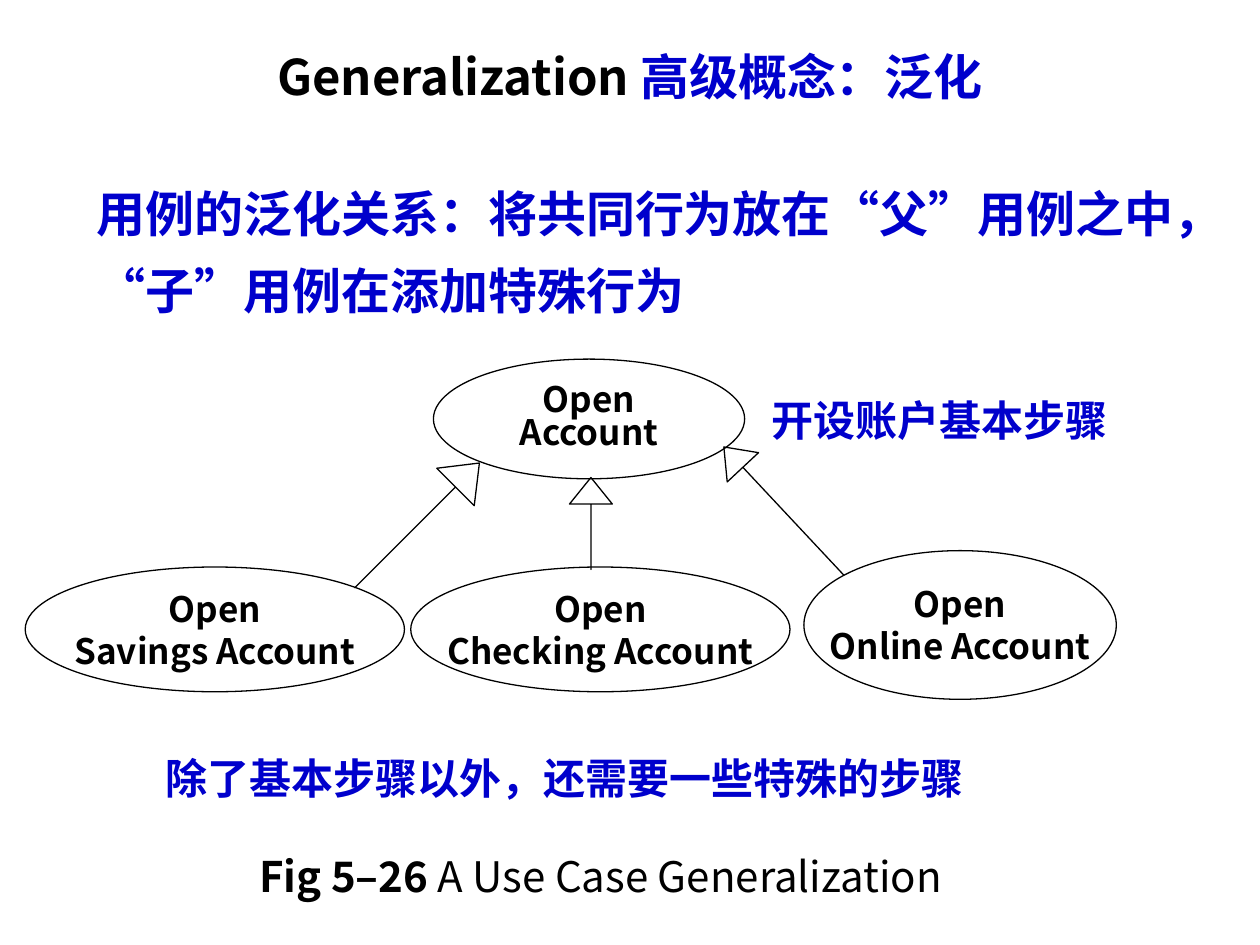
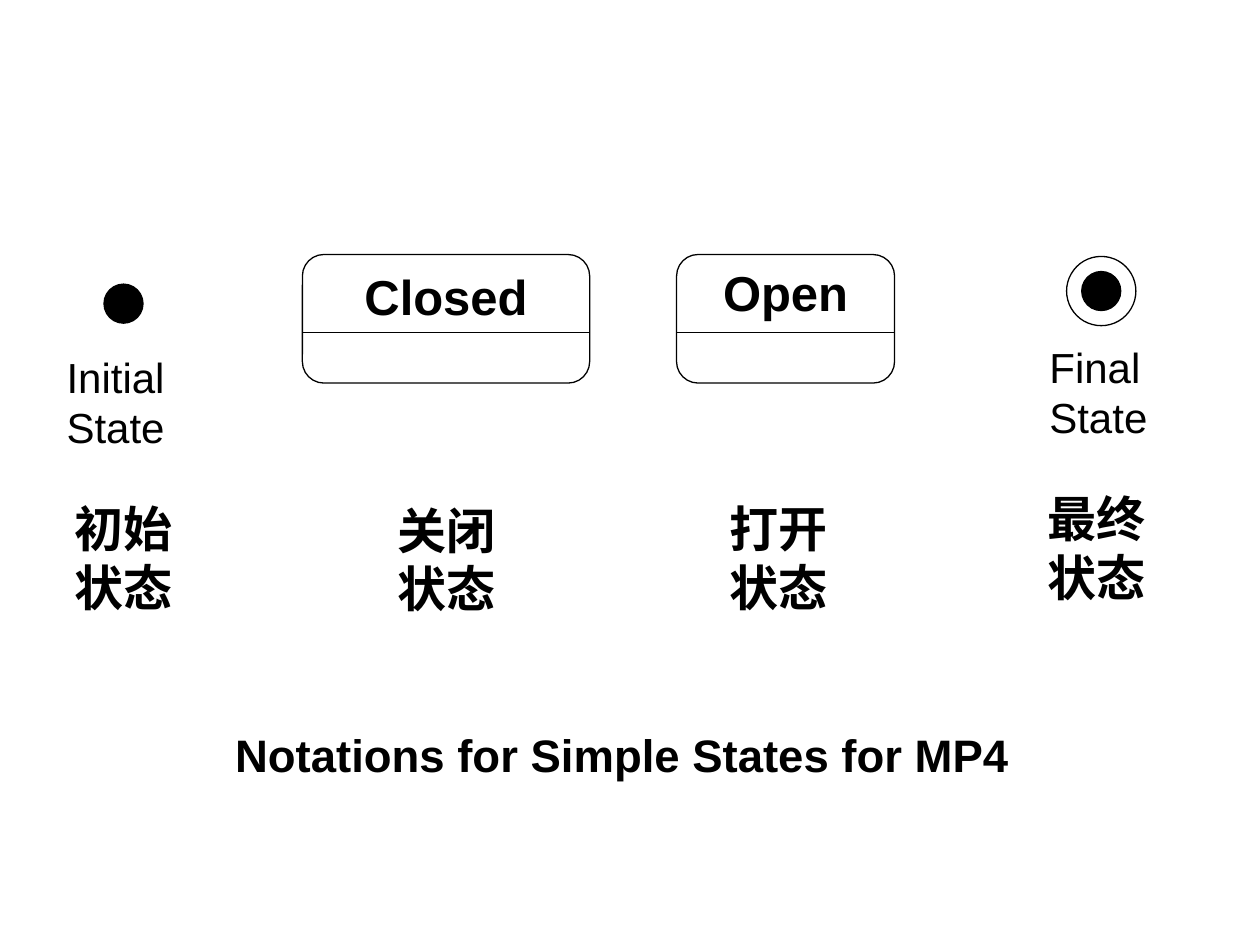
from pptx import Presentation
from pptx.dml.color import RGBColor
from pptx.enum import shapes, text
from pptx.oxml.ns import qn
from pptx.util import Inches, Pt
from lxml import etree

COLORS = {"ink": "000000", "blue": "0000CC", "paper": "FFFFFF"}
CJK = "Noto Sans CJK SC"
LATIN = "Arial"
SHAPE = shapes.MSO_SHAPE
ANCHOR = text.MSO_ANCHOR
CENTER = text.PP_ALIGN.CENTER
LEFT = text.PP_ALIGN.LEFT
BOX_INSETS = (0.1, 0.05, 0.1, 0.05)
NOTE_INSETS = (0, 0.05, 0, 0.05)


def color(name):
    """Return the named colour."""
    return RGBColor.from_string(COLORS[name])


def set_all(target, values):
    """Set each attribute of the target from a dict."""
    for name, value in values.items():
        setattr(target, name, value)


def add_run(paragraph, words, font, size, ink, bold):
    """Add a run with the same Latin and East Asian typeface."""
    run = paragraph.add_run()
    run.text = words
    set_all(run.font, {"name": font, "size": Pt(size), "bold": bold})
    run.font.color.rgb = color(ink)
    east_asian = etree.SubElement(run._r.get_or_add_rPr(), qn("a:ea"))
    east_asian.set("typeface", font)


def write(shape, lines, font=CJK, size=24, ink="ink", bold=True, align=CENTER,
          spacing=1.0, insets=BOX_INSETS, anchor=ANCHOR.TOP, wrap=True,
          fit=text.MSO_AUTO_SIZE.NONE):
    """Write lines, each a list of (words, overrides) runs or a plain string."""
    frame = shape.text_frame
    sides = ("margin_left", "margin_top", "margin_right", "margin_bottom")
    set_all(frame, dict(zip(sides, map(Inches, insets))))
    set_all(frame, {"word_wrap": wrap, "auto_size": fit, "vertical_anchor": anchor})
    base = {"font": font, "size": size, "ink": ink, "bold": bold}
    for index, line in enumerate(lines):
        paragraph = frame.add_paragraph() if index else frame.paragraphs[0]
        properties = paragraph._p.get_or_add_pPr()
        properties.set("marL", "0")
        properties.set("indent", "0")
        etree.SubElement(properties, qn("a:buNone"))
        set_all(paragraph, {"alignment": align, "line_spacing": spacing, "space_before": Pt(0)})
        for words, overrides in [(line, {})] if isinstance(line, str) else line:
            add_run(paragraph, words, **{**base, **overrides})


def place(shape, box):
    """Move a shape to a box in inches."""
    set_all(shape, dict(zip(("left", "top", "width", "height"), map(Inches, box))))


def add_label(slide, box, lines, **style):
    """Add a text box that grows with its text."""
    label = slide.shapes.add_textbox(*map(Inches, box))
    write(label, lines, fit=text.MSO_AUTO_SIZE.SHAPE_TO_FIT_TEXT, **style)


def add_outline(slide, kind, box, fill=None, adjustments=(), rotation=0):
    """Add a thin black outlined shape, filled when a colour is named."""
    shape = slide.shapes.add_shape(kind, *map(Inches, box))
    shape.shadow.inherit = False
    shape.rotation = rotation
    for index, value in enumerate(adjustments):
        shape.adjustments[index] = value
    if fill:
        shape.fill.solid()
        shape.fill.fore_color.rgb = color(fill)
    else:
        shape.fill.background()
    shape.line.color.rgb = color("ink")
    shape.line.width = Pt(0.75)
    return shape


def add_divider(slide, left, right, y):
    """Add a thin horizontal line."""
    line = slide.shapes.add_connector(
        shapes.MSO_CONNECTOR.STRAIGHT, *map(Inches, (left, y, right, y)))
    line.line.color.rgb = color("ink")
    line.line.width = Pt(0.75)
    etree.SubElement(line._element.spPr, qn("a:effectLst"))


def add_content_slide(presentation, caption, box, **style):
    """Add a slide whose body placeholder holds the figure caption."""
    slide = presentation.slides.add_slide(presentation.slide_layouts[1])
    body = slide.placeholders[1]
    place(body, box)
    write(body, [caption], spacing=0.8, **style)
    return slide


def draw_use_cases(slide, left, top):
    """Draw the parent use case, its three children and the hollow arrows."""
    use_cases = [
        ("Account", (3.24, 0, 2.47, 0.95), 0.8),
        ("Savings Account", (0, 1.65, 3.01, 0.99), 1.0),
        ("Checking Account", (3.06, 1.65, 3.01, 0.99), 1.0),
        ("Online Account", (6.18, 1.52, 2.48, 1.18), 1.0),
    ]
    arrows = [
        ((4.32, 0.94, 0.34, 0.73), 0.62, 0),
        ((5.85, 0.51, 0.34, 1.39), 0.65, 316.9),
        ((2.9, 0.62, 0.42, 1.4), 0.64, 45),
    ]
    for name, (x, y, width, height), spacing in use_cases:
        ellipse = add_outline(slide, SHAPE.OVAL, (left + x, top + y, width, height))
        write(ellipse, ["Open", name], size=20, spacing=spacing,
              anchor=ANCHOR.MIDDLE, wrap=False)
    for (x, y, width, height), head, rotation in arrows:
        add_outline(slide, SHAPE.UP_ARROW, (left + x, top + y, width, height),
                    adjustments=(0, head), rotation=rotation)


def add_generalization_slide(presentation):
    """Build the slide on use case generalization."""
    caption = [("Fig 5–26 ", {}), ("A Use Case Generalization", {"bold": False})]
    slide = add_content_slide(presentation, caption, (1.26, 6.78, 7.01, 0.51))
    title = slide.shapes.title
    place(title, (0.5, 0.22, 9, 0.77))
    write(title, [[("Generalization ", {}), ("高级概念：泛化", {"ink": "blue"})]],
          size=28, anchor=ANCHOR.MIDDLE)
    add_label(slide, (0.67, 1.27, 8.82, 1.32),
              ["用例的泛化关系：将共同行为放在“父”用例之中，“子”用例在添加特殊行为"],
              size=28, ink="blue", align=LEFT, spacing=1.3)
    draw_use_cases(slide, 0.2, 2.85)
    notes = [
        ("开设账户基本步骤", (6.12, 3.08, 2.74, 0.5)),
        ("除了基本步骤以外，还需要一些特殊的步骤", (1.31, 5.92, 6.69, 0.5)),
    ]
    for words, box in notes:
        add_label(slide, box, [words], ink="blue", align=LEFT, insets=NOTE_INSETS)


def draw_state(slide, name, box, name_inset):
    """Draw a rounded state with its name above a divider."""
    left, top, width, _ = box
    state = add_outline(slide, SHAPE.ROUNDED_RECTANGLE, box, "paper", (0.167,))
    write(state, [name], font=LATIN, size=28, wrap=False,
          insets=(0.06, name_inset, 0.06, 0))
    add_divider(slide, left, left + width, top + 0.62)


def draw_dot(slide, center_x, center_y, diameter, fill=None):
    """Draw a circle around a centre."""
    box = (center_x - diameter / 2, center_y - diameter / 2, diameter, diameter)
    add_outline(slide, SHAPE.OVAL, box, fill)


def add_states_slide(presentation):
    """Build the slide on the notations for simple states."""
    slide = add_content_slide(presentation, "Notations for Simple States for MP4 ",
                              (1.14, 5.8, 7.7, 0.47), font=LATIN, size=26)
    title = slide.shapes.title
    title._element.getparent().remove(title._element)
    draw_state(slide, "Closed", (2.4, 2.02, 2.28, 1.02), 0.05)
    draw_state(slide, "Open", (5.37, 2.02, 1.73, 1.02), 0.01)
    draw_dot(slide, 0.98, 2.41, 0.31, "ink")
    draw_dot(slide, 8.74, 2.31, 0.31, "ink")
    draw_dot(slide, 8.74, 2.31, 0.55)
    for words, left, top in [("Initial State", 0.43, 2.74), ("Final State", 8.23, 2.66)]:
        add_label(slide, (left, top, 1.18, 0.9), [words], font=LATIN, bold=False, align=LEFT)
    translations = [
        ("初始", 0.43, 3.91, 1.1),
        ("关闭", 2.72, 3.92, 1.65),
        ("打开", 5.63, 3.91, 1.1),
        ("最终", 8.15, 3.83, 1.1),
    ]
    for words, left, top, width in translations:
        add_label(slide, (left, top, width, 1.04), [words, "状态"], size=28)


def main():
    """Build and save the presentation."""
    presentation = Presentation()
    set_all(presentation, {"slide_width": Inches(10), "slide_height": Inches(7.5)})
    add_generalization_slide(presentation)
    add_states_slide(presentation)
    presentation.save("out.pptx")


if __name__ == "__main__":
    main()
